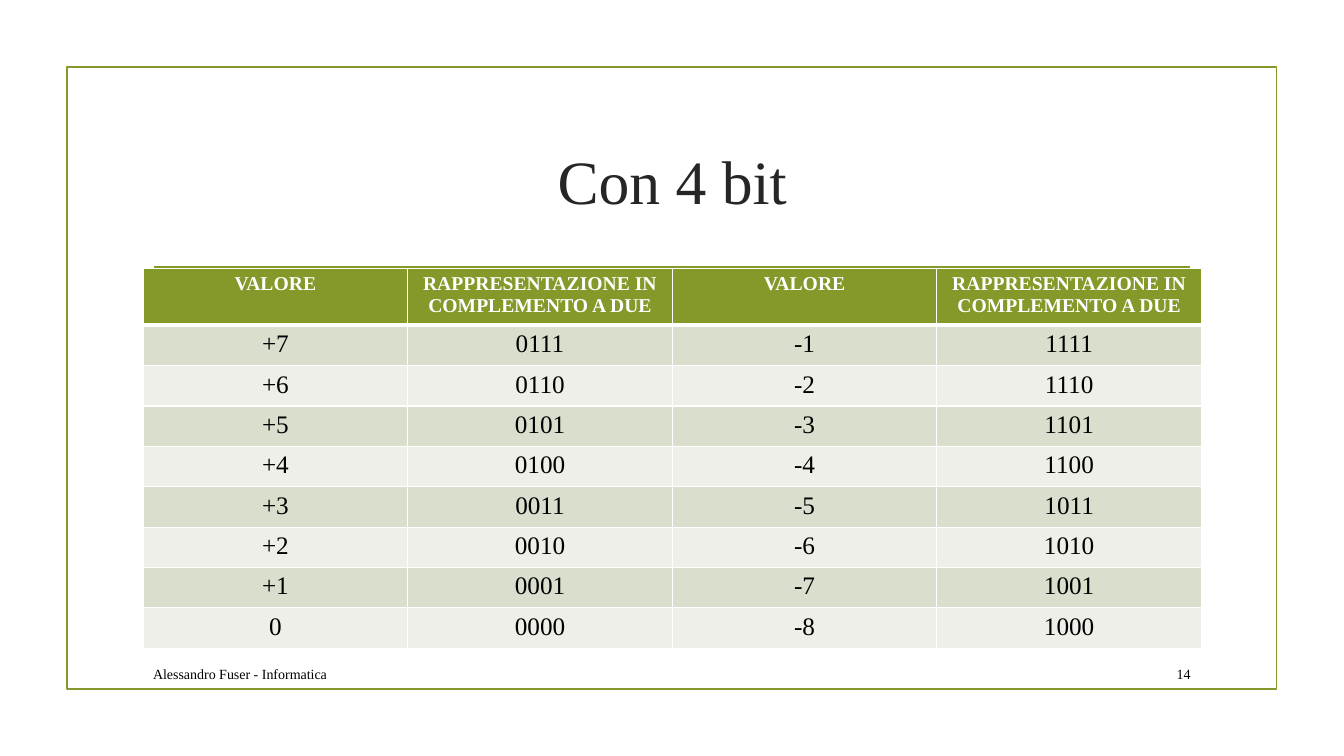
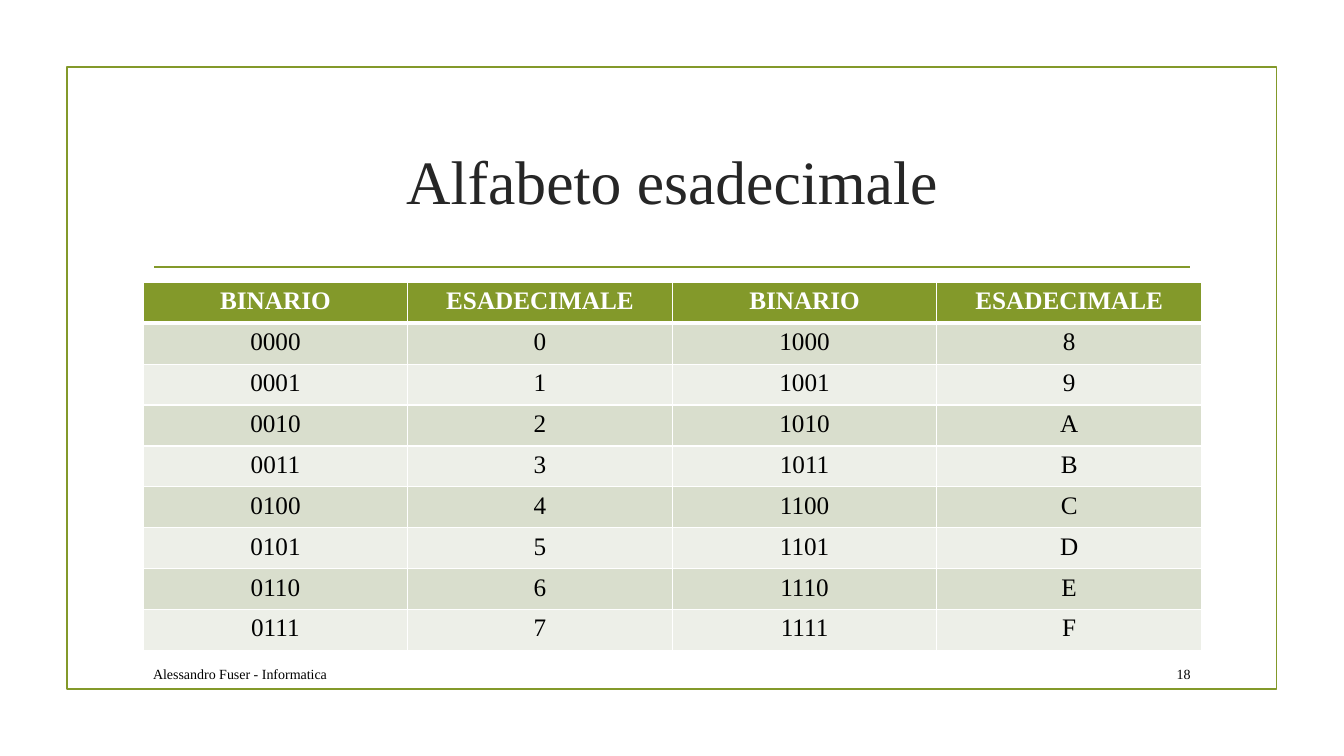
from lxml import etree
from pptx import Presentation
from pptx.dml.color import RGBColor
from pptx.enum.shapes import MSO_CONNECTOR, MSO_SHAPE
from pptx.enum.text import MSO_ANCHOR, PP_ALIGN
from pptx.oxml.ns import qn
from pptx.util import Pt

LEFT, CENTER, RIGHT = PP_ALIGN.LEFT, PP_ALIGN.CENTER, PP_ALIGN.RIGHT
MIDDLE = MSO_ANCHOR.MIDDLE
RECTANGLE = MSO_SHAPE.RECTANGLE
STRAIGHT = MSO_CONNECTOR.STRAIGHT
TITLE_ONLY = 5

FONT = "Times New Roman"
COLORS = {
    "accent": "83992A",
    "title": "262626",
    "text": "000000",
    "white": "FFFFFF",
    "band_dark": "D9DECD",
    "band_light": "EDEFE8",
}
CONTENT_LEFT, CONTENT_WIDTH = 102.25, 756
RULE_LEFT, RULE_RIGHT, RULE_TOP = 110.25, 850.25, 190.75
FOOTER_TOP, FOOTER_HEIGHT = 470.25, 22
BODY_SIZE = 18


def rgb(name):
    return RGBColor.from_string(COLORS[name])


def write_text(frame, text, align, color, **font_values):
    para = frame.paragraphs[0]
    para.alignment = align
    span = para.add_run()
    span.text = text
    span.font.color.rgb = rgb(color)
    for name, value in {"name": FONT, **font_values}.items():
        setattr(span.font, name, value)


def style_line(line):
    line.color.rgb = rgb("accent")
    line.width = Pt(1.25)


def add_frame(page):
    frame = page.shapes.add_shape(RECTANGLE, Pt(47.75), Pt(48), Pt(864), Pt(444))
    frame.shadow.inherit = False
    frame.fill.background()
    style_line(frame.line)


def add_rule(page):
    rule = page.shapes.add_connector(
        STRAIGHT, Pt(RULE_LEFT), Pt(RULE_TOP), Pt(RULE_RIGHT), Pt(RULE_TOP))
    style_line(rule.line)
    etree.SubElement(rule._element.spPr, qn("a:effectLst"))


def set_title(page, text):
    title = page.shapes.title
    title.left, title.top = Pt(CONTENT_LEFT), Pt(77)
    title.width, title.height = Pt(CONTENT_WIDTH), Pt(103)
    title.text_frame.vertical_anchor = MIDDLE
    write_text(title.text_frame, text, CENTER, "title", size=Pt(44))


def add_footer_text(page, left, width, text, align):
    box = page.shapes.add_textbox(
        Pt(left), Pt(FOOTER_TOP), Pt(width), Pt(FOOTER_HEIGHT))
    box.text_frame.word_wrap = True
    box.text_frame.vertical_anchor = MIDDLE
    write_text(box.text_frame, text, align, "text", size=Pt(10))


def set_borders(cell, top, bottom):
    """Draw white cell edges; call before the fill, which must follow them."""
    properties = cell._tc.get_or_add_tcPr()
    for tag, width in {"lnL": 1, "lnR": 1, "lnT": top, "lnB": bottom}.items():
        edge = etree.SubElement(properties, qn(f"a:{tag}"), w=str(Pt(width)))
        fill = etree.SubElement(edge, qn("a:solidFill"))
        etree.SubElement(fill, qn("a:srgbClr"), val=COLORS["white"])


def add_banded_table(page, top, header, rows, header_size, header_height, row_height):
    heights = [header_height] + [row_height] * len(rows)
    table = page.shapes.add_table(
        len(heights), len(header), Pt(CONTENT_LEFT), Pt(top),
        Pt(CONTENT_WIDTH), Pt(sum(heights))).table
    for row_index, (height, texts) in enumerate(zip(heights, [header, *rows])):
        table.rows[row_index].height = Pt(height)
        is_header = row_index == 0
        if is_header:
            fill, color, size = "accent", "white", header_size
        else:
            fill = "band_dark" if row_index % 2 else "band_light"
            color, size = "text", BODY_SIZE
        for cell, text in zip(table.rows[row_index].cells, texts):
            set_borders(cell, top=3 if row_index == 1 else 1,
                        bottom=3 if is_header else 1)
            cell.fill.solid()
            cell.fill.fore_color.rgb = rgb(fill)
            write_text(cell.text_frame, text, CENTER, color,
                       size=Pt(size), bold=is_header)


def add_page(deck, title, number):
    page = deck.slides.add_slide(deck.slide_layouts[TITLE_ONLY])
    add_frame(page)
    add_rule(page)
    set_title(page, title)
    add_footer_text(page, CONTENT_LEFT, 575.25, "Alessandro Fuser - Informatica", LEFT)
    add_footer_text(page, 815, 42.5, str(number), RIGHT)
    return page


def main():
    deck = Presentation()
    deck.slide_width, deck.slide_height = Pt(960), Pt(540)

    page = add_page(deck, "Con 4 bit", 14)
    complement_rows = [
        (f"+{value}" if value else "0", f"{value:04b}",
         str(value - 8), f"{value + 8:04b}")
        for value in range(7, -1, -1)]
    add_banded_table(
        page, 191.5, ["VALORE", "RAPPRESENTAZIONE IN COMPLEMENTO A DUE"] * 2,
        complement_rows, header_size=14, header_height=40.25, row_height=27.5)

    page = add_page(deck, "Alfabeto esadecimale", 18)
    hexadecimal_rows = [
        (f"{value:04b}", f"{value:X}", f"{value + 8:04b}", f"{value + 8:X}")
        for value in range(8)]
    add_banded_table(
        page, 201.75, ["BINARIO", "ESADECIMALE"] * 2, hexadecimal_rows,
        header_size=BODY_SIZE, header_height=29.2, row_height=29.2)

    deck.save("out.pptx")


if __name__ == "__main__":
    main()
